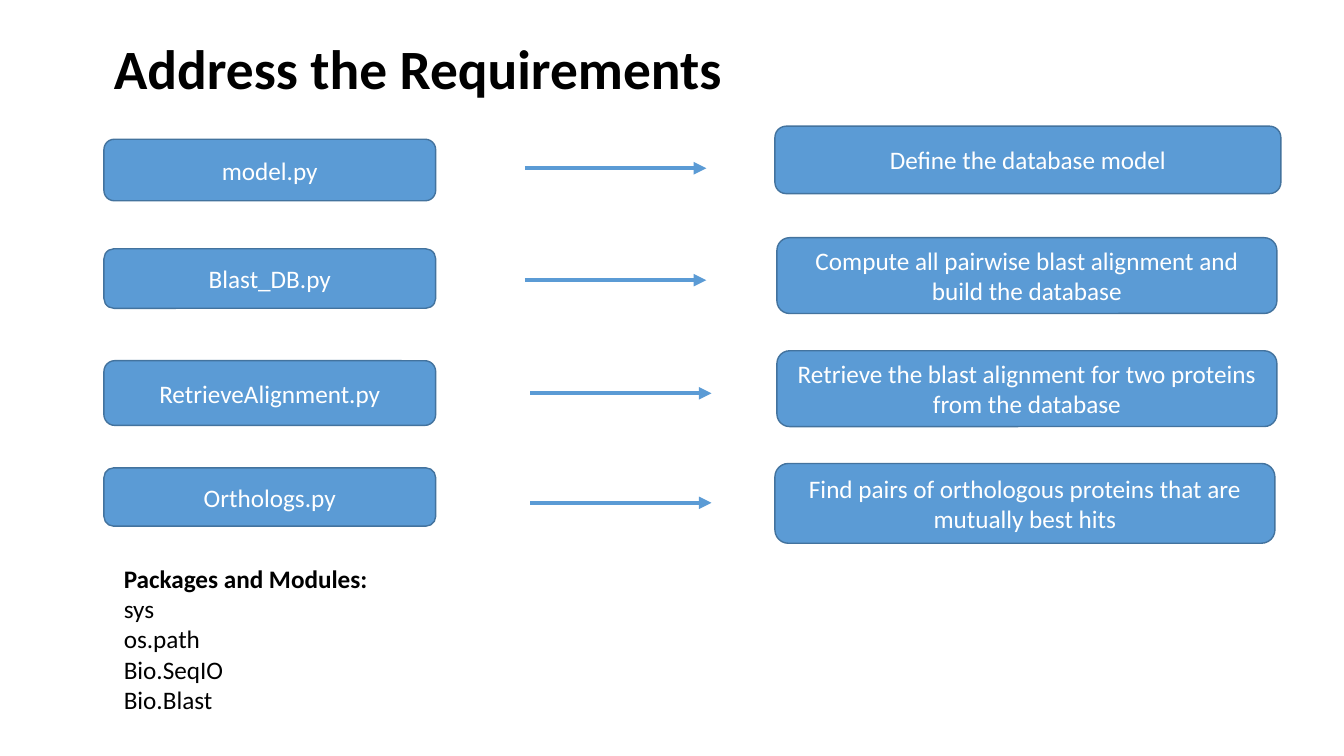
from dataclasses import dataclass

from lxml.etree import SubElement
from pptx import Presentation
from pptx.dml.color import RGBColor
from pptx.enum.shapes import MSO_CONNECTOR, MSO_SHAPE
from pptx.enum.text import MSO_ANCHOR, PP_ALIGN
from pptx.oxml.ns import qn
from pptx.util import Cm, Pt

BLUE = "5B9BD5"
EDGE = "43739E"
WHITE = "FFFFFF"
BLACK = "000000"


@dataclass
class Box:
    text: str
    left: float
    top: float
    width: float
    height: float


@dataclass
class Arrow:
    left: float
    top: float
    width: float = 4.57


@dataclass
class Row:
    script: Box
    arrow: Arrow
    task: Box


ROWS = [
    Row(Box("model.py", 2.62, 3.51, 8.36, 1.55), Arrow(13.23, 4.24),
        Box("Define the database model", 19.53, 3.18, 12.75, 1.7)),
    Row(Box("Blast_DB.py", 2.62, 6.27, 8.36, 1.5), Arrow(13.23, 7.06),
        Box("Compute all pairwise blast alignment and build the database",
            19.58, 5.99, 12.6, 1.91)),
    Row(Box("RetrieveAlignment.py", 2.62, 9.09, 8.36, 1.63), Arrow(13.36, 9.91),
        Box("Retrieve the blast alignment for two proteins from the database",
            19.58, 8.84, 12.6, 1.91)),
    Row(Box("Orthologs.py", 2.62, 11.79, 8.36, 1.47), Arrow(13.36, 12.67),
        Box("Find pairs of orthologous proteins that are mutually best hits",
            19.53, 11.68, 12.6, 2.01)),
]
TITLE = Box("Address the Requirements", 2.62, 0.97, 29.21, 1.65)
NOTES = Box("Packages and Modules:\nsys\nos.path\nBio.SeqIO\nBio.Blast",
            2.87, 14.07, 26.01, 4.88)


def paint(code: str) -> RGBColor:
    return RGBColor.from_string(code)


def write(frame, text: str, *, size: float = 18, color: str = BLACK,
          bold: int = 0, align=PP_ALIGN.LEFT, anchor=MSO_ANCHOR.TOP,
          space: float = 1.0) -> None:
    frame.word_wrap = True
    frame.vertical_anchor = anchor
    for index, line in enumerate(text.split("\n")):
        para = frame.add_paragraph() if index else frame.paragraphs[0]
        para.alignment = align
        para.line_spacing = space
        run = para.add_run()
        run.text = line
        run.font.name = "Calibri"
        run.font.size = Pt(size)
        run.font.bold = index < bold
        run.font.color.rgb = paint(color)


def place(box: Box) -> tuple[Cm, Cm, Cm, Cm]:
    return Cm(box.left), Cm(box.top), Cm(box.width), Cm(box.height)


def draw_box(slide, box: Box) -> None:
    shape = slide.shapes.add_shape(MSO_SHAPE.ROUNDED_RECTANGLE, *place(box))
    shape.shadow.inherit = False
    shape.fill.solid()
    shape.fill.fore_color.rgb = paint(BLUE)
    shape.line.color.rgb = paint(EDGE)
    shape.line.width = Pt(1)
    write(shape.text_frame, box.text, color=WHITE, align=PP_ALIGN.CENTER,
          anchor=MSO_ANCHOR.MIDDLE)


def draw_arrow(slide, arrow: Arrow) -> None:
    line = slide.shapes.add_connector(
        MSO_CONNECTOR.STRAIGHT, Cm(arrow.left), Cm(arrow.top),
        Cm(arrow.left + arrow.width), Cm(arrow.top))
    line.line.color.rgb = paint(BLUE)
    line.line.width = Pt(3)
    SubElement(line.line._get_or_add_ln(), qn("a:tailEnd"), type="triangle")
    SubElement(line._element.spPr, qn("a:effectLst"))


def draw_text(slide, box: Box, **format) -> None:
    shape = slide.shapes.add_textbox(*place(box))
    write(shape.text_frame, box.text, bold=1, **format)


def main() -> None:
    deck = Presentation()
    deck.slide_width, deck.slide_height = Cm(33.87), Cm(19.05)
    slide = deck.slides.add_slide(deck.slide_layouts[6])
    draw_text(slide, TITLE, size=39.6, anchor=MSO_ANCHOR.MIDDLE, space=0.9)
    for row in ROWS:
        draw_box(slide, row.script)
        draw_arrow(slide, row.arrow)
        draw_box(slide, row.task)
    draw_text(slide, NOTES)
    deck.save("out.pptx")


if __name__ == "__main__":
    main()
